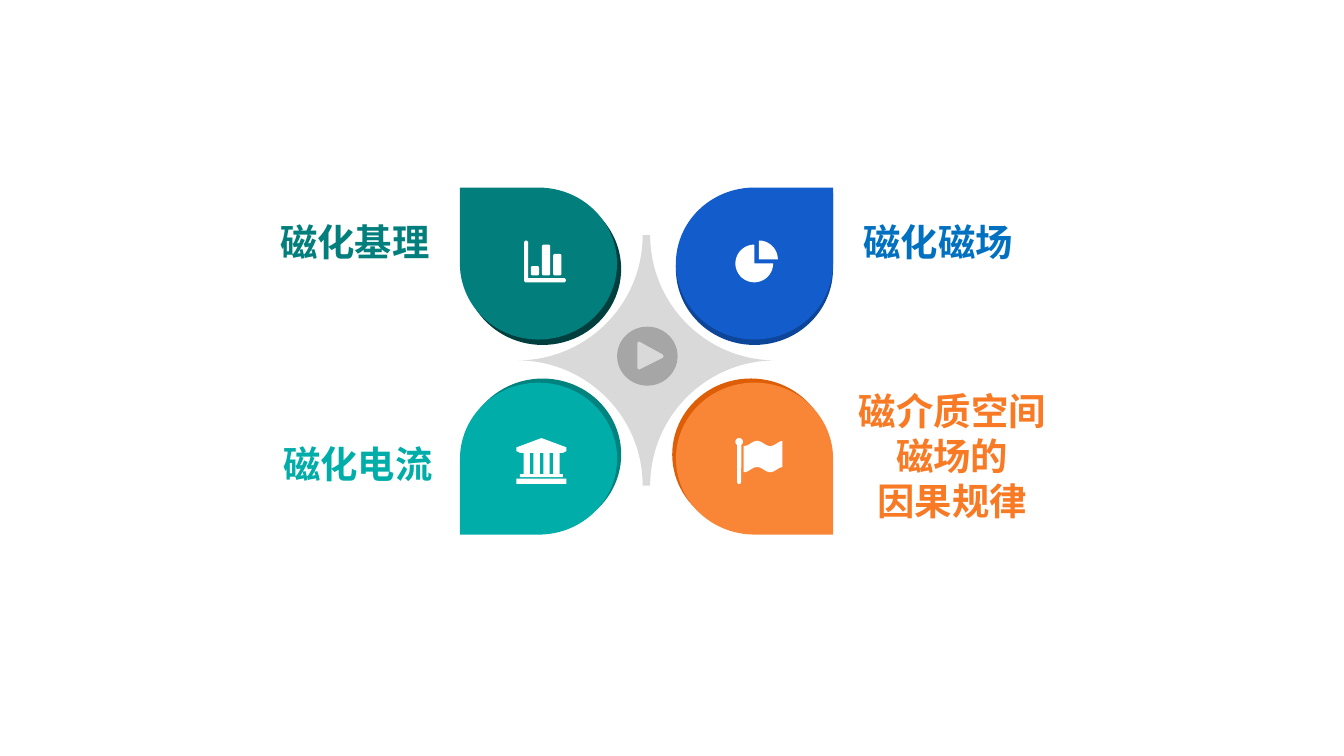
import math

import pptx
import pptx.dml.color
import pptx.enum.lang
import pptx.enum.shapes
import pptx.enum.text
import pptx.util
from lxml import etree

Pt = pptx.util.Pt
RGBColor = pptx.dml.color.RGBColor
SHAPE = pptx.enum.shapes.MSO_SHAPE
ALIGN = pptx.enum.text.PP_ALIGN
DRAWING = "http://schemas.openxmlformats.org/drawingml/2006/main"

FONT = "Calibri"
WHITE = RGBColor(0xFF, 0xFF, 0xFF)
STAR_GRAY = RGBColor(0xD9, 0xD9, 0xD9)
BUTTON_GRAY = RGBColor(0xA6, 0xA6, 0xA6)
GREEN, GREEN_EDGE = RGBColor(0x02, 0x7F, 0x7D), RGBColor(0x01, 0x3F, 0x3F)
BLUE, BLUE_EDGE = RGBColor(0x12, 0x5C, 0xCB), RGBColor(0x0D, 0x45, 0x98)
TEAL, TEAL_EDGE = RGBColor(0x00, 0xAD, 0xA9), RGBColor(0x00, 0x82, 0x7F)
ORANGE, ORANGE_EDGE = RGBColor(0xF9, 0x86, 0x37), RGBColor(0xDD, 0x5E, 0x07)
BLUE_TEXT = RGBColor(0x00, 0x70, 0xC0)
ORANGE_TEXT = RGBColor(0xF8, 0x7A, 0x24)

PETAL_WIDTH, PETAL_HEIGHT = 84.2, 81.4
LEFT, RIGHT, TOP, BOTTOM = 246.4, 362.1, 100.5, 205


def paint(shape, color):
    shape.shadow.inherit = False
    shape.fill.solid()
    shape.fill.fore_color.rgb = color
    shape.line.fill.background()
    return shape


def add_shape(page, kind, box, color, adjustments=()):
    shape = page.shapes.add_shape(kind, *(Pt(length) for length in box))
    for index, value in enumerate(adjustments):
        shape.adjustments[index] = value
    return paint(shape, color)


def add_icon(page, left, top, contours, color=WHITE):
    """Draw closed contours, given as offsets from left, top, as one shape."""
    builder = None
    for contour in contours:
        corners = [(Pt(left + x), Pt(top + y)) for x, y in contour]
        if builder is None:
            builder = page.shapes.build_freeform(*corners[0])
        else:
            builder.move_to(*corners[0])
        builder.add_line_segments(corners[1:], close=True)
    return paint(builder.convert_to_shape(), color)


def arc(center_x, center_y, radius_x, radius_y, start=0, sweep=360, steps=48):
    """Points along an arc, in degrees clockwise from the right."""
    angles = [math.radians(start + sweep * index / steps) for index in range(steps + 1)]
    return [(center_x + radius_x * math.cos(angle), center_y + radius_y * math.sin(angle))
            for angle in angles]


def rectangle(x, y, width, height, radius=0):
    right, bottom = x + width, y + height
    if not radius:
        return [(x, y), (right, y), (right, bottom), (x, bottom)]
    centers = [(right - radius, bottom - radius), (x + radius, bottom - radius),
               (x + radius, y + radius), (right - radius, y + radius)]
    return [point for index, center in enumerate(centers)
            for point in arc(*center, radius, radius, 90 * index, 90, 6)]


def add_text(page, lines, box, color, size=20, align=ALIGN.LEFT, wrap=False):
    frame = page.shapes.add_textbox(*(Pt(length) for length in box)).text_frame
    frame.margin_left = frame.margin_right = frame.margin_top = frame.margin_bottom = 0
    frame.word_wrap = wrap
    frame.auto_size = pptx.enum.text.MSO_AUTO_SIZE.SHAPE_TO_FIT_TEXT
    for index, line in enumerate(lines):
        para = frame.add_paragraph() if index else frame.paragraphs[0]
        para.alignment = align
        span = para.add_run()
        span.text = line
        span.font.size, span.font.bold, span.font.name = Pt(size), True, FONT
        span.font.color.rgb = color
        span.font.language_id = pptx.enum.lang.MSO_LANGUAGE_ID.SIMPLIFIED_CHINESE
        etree.SubElement(span.font._element, f"{{{DRAWING}}}ea", typeface=FONT)


def add_petal(page, left, top, rotation, color, edge_color, edge_shift):
    """Draw a teardrop over its darker edge; left, top are as seen after rotation."""
    width, height = PETAL_WIDTH, PETAL_HEIGHT
    if rotation % 180:
        width, height = height, width
    inset_x, inset_y = (PETAL_WIDTH - width) / 2, (PETAL_HEIGHT - height) / 2
    for (shift_x, shift_y), fill in ((edge_shift, edge_color), ((0, 0), color)):
        box = (left + inset_x + shift_x, top + inset_y + shift_y, width, height)
        add_shape(page, SHAPE.TEAR, box, fill).rotation = rotation


def add_star(page, left, top, width, height):
    add_shape(page, SHAPE.PLAQUE, (left, top, width, height), STAR_GRAY, [0.5])


def add_play_button(page, left, top):
    triangle = [(10.8, 8.6), (11.8, 7.9), (24.4, 14.8), (25, 15.8), (24.4, 16.8),
                (11.8, 23.1), (10.8, 22.3)]
    disc = arc(16.2, 15.8, 16.2, 15.8)
    add_icon(page, left, top, [disc, triangle[::-1]], BUTTON_GRAY)


def add_bar_icon(page, left, top):
    size, thickness, floor = 22.4, 2.2, 18.7
    inner = size - thickness
    axes = [(0, 0.8), (0.7, 0), (1.5, 0), (thickness, 0.8), (thickness, inner),
            (size - 0.7, inner), (size, inner + 0.8), (size, size - 0.7),
            (size - 0.7, size), (0.7, size), (0, size - 0.7)]
    bars = [rectangle(3.6 + 6 * index, bar_top, 4.4, floor - bar_top, 0.9)
            for index, bar_top in enumerate((13.7, 2.2, 7.2))]
    add_icon(page, left, top, [axes] + bars)


def add_pie_icon(page, left, top):
    radius = 10.1
    body, slice_tip = (10.3, 12.3), (12.8, 10.1)
    add_icon(page, left, top, [
        [body] + arc(*body, radius, radius, 0, 270),
        [slice_tip] + arc(*slice_tip, radius, radius, 270, 90)])


def add_bank_icon(page, left, top):
    roof = [(0, 5), (13.4, 0), (26.8, 5), (26.8, 7), (24.8, 8), (2, 8), (0, 7)]
    columns = [rectangle(3.8 + 5.3 * index, 8, 3.4, 11.4) for index in range(4)]
    add_icon(page, left, top, [roof, *columns, rectangle(1.9, 19.4, 23, 1.5),
                               rectangle(0, 21.8, 26.8, 2.8)])


def add_flag_icon(page, left, top):
    pole = arc(2, 2, 2, 2, 125, 290) + [(3.1, 23.6), (2.5, 24.6), (1.4, 24.6), (0.9, 23.6)]
    steps = [4.4 + 20.8 * index / 24 for index in range(25)]
    upper = [(x, 2.9 - 1.4 * math.cos(math.tau * (x - 11.6) / 14)) for x in steps]
    lower = [(x, y + 14) for x, y in reversed(upper)]
    add_icon(page, left, top, [pole, upper + lower])


def main():
    deck = pptx.Presentation()
    deck.slide_width, deck.slide_height = Pt(720), Pt(405)
    page = deck.slides.add_slide(deck.slide_layouts[6])

    add_text(page, ["磁化电流"], (150.5, 236.2, 81.4, 24.5), TEAL, align=ALIGN.RIGHT)
    add_text(page, ["磁化磁场"], (462.6, 117.4, 81.4, 24.5), BLUE_TEXT)
    add_text(page, ["磁化基理"], (148.8, 117.4, 81.4, 24.5), GREEN, align=ALIGN.RIGHT)
    add_text(page, ["磁介质空间磁场的", "因果规律"], (450.8, 208.1, 118.8, 72.7),
             ORANGE_TEXT, align=ALIGN.CENTER, wrap=True)

    add_star(page, 277.2, 126, 138.2, 134.2)
    add_petal(page, LEFT, TOP, 270, GREEN, GREEN_EDGE, (2.2, 2.9))
    add_petal(page, RIGHT, TOP, 0, BLUE, BLUE_EDGE, (0, 2.9))
    add_petal(page, LEFT, BOTTOM, 180, TEAL, TEAL_EDGE, (2.2, -2.2))
    add_petal(page, RIGHT, BOTTOM, 90, ORANGE, ORANGE_EDGE, (-2, -2.2))

    add_play_button(page, 330.6, 175)
    add_bank_icon(page, 276.7, 234.7)
    add_flag_icon(page, 394, 234.7)
    add_bar_icon(page, 280.8, 128.9)
    add_pie_icon(page, 393.8, 128.9)
    deck.save("out.pptx")


if __name__ == "__main__":
    main()
